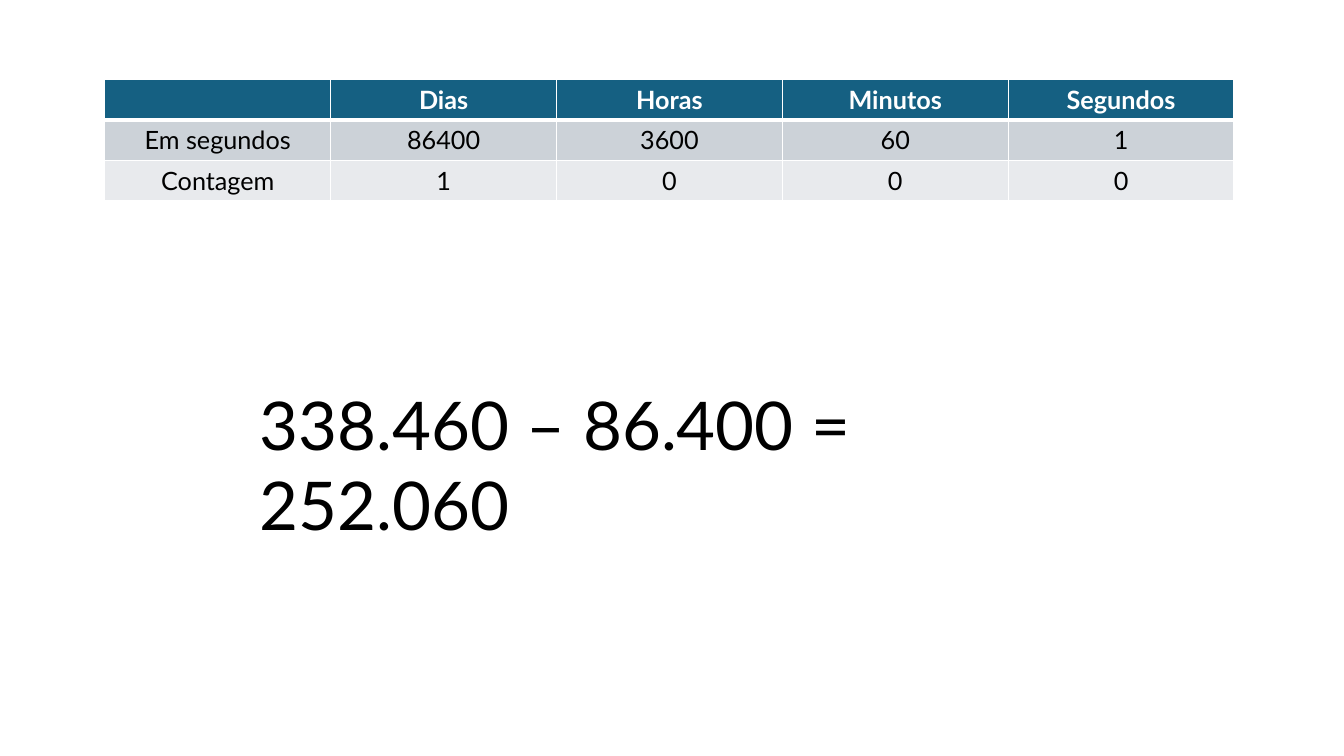
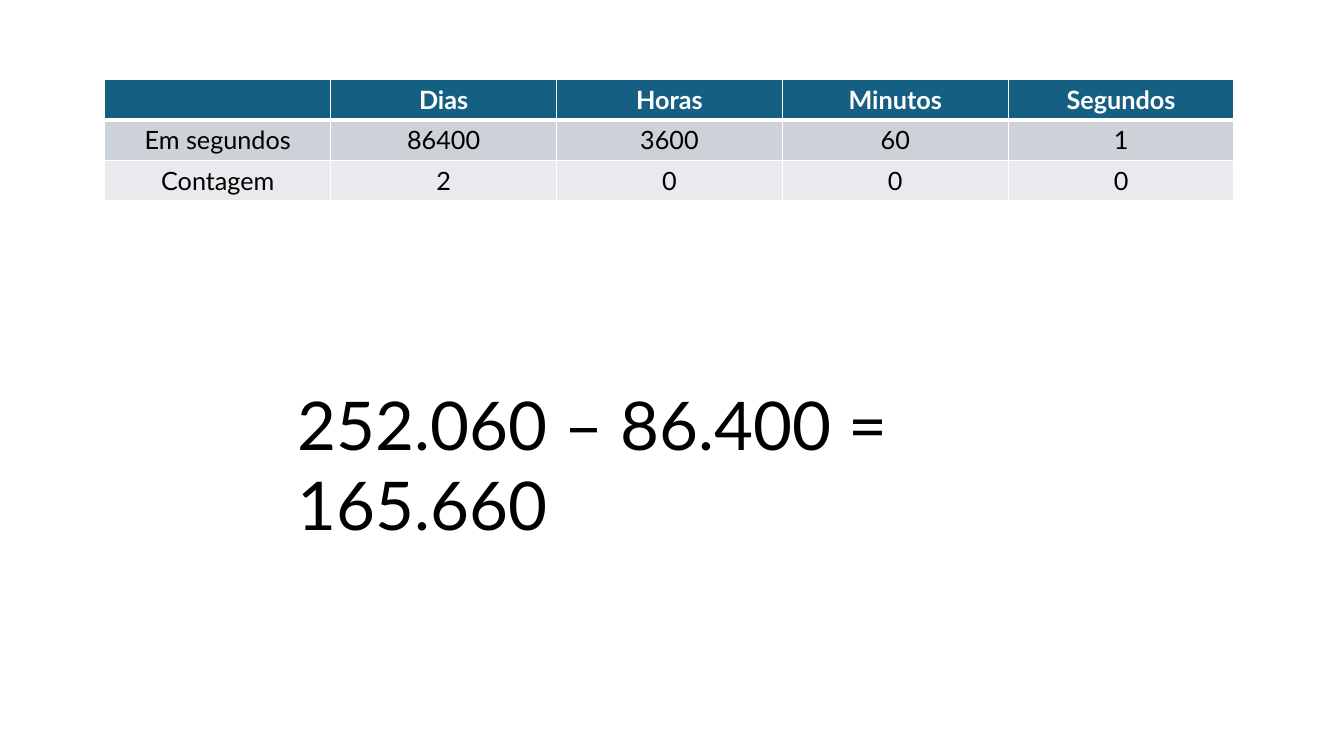
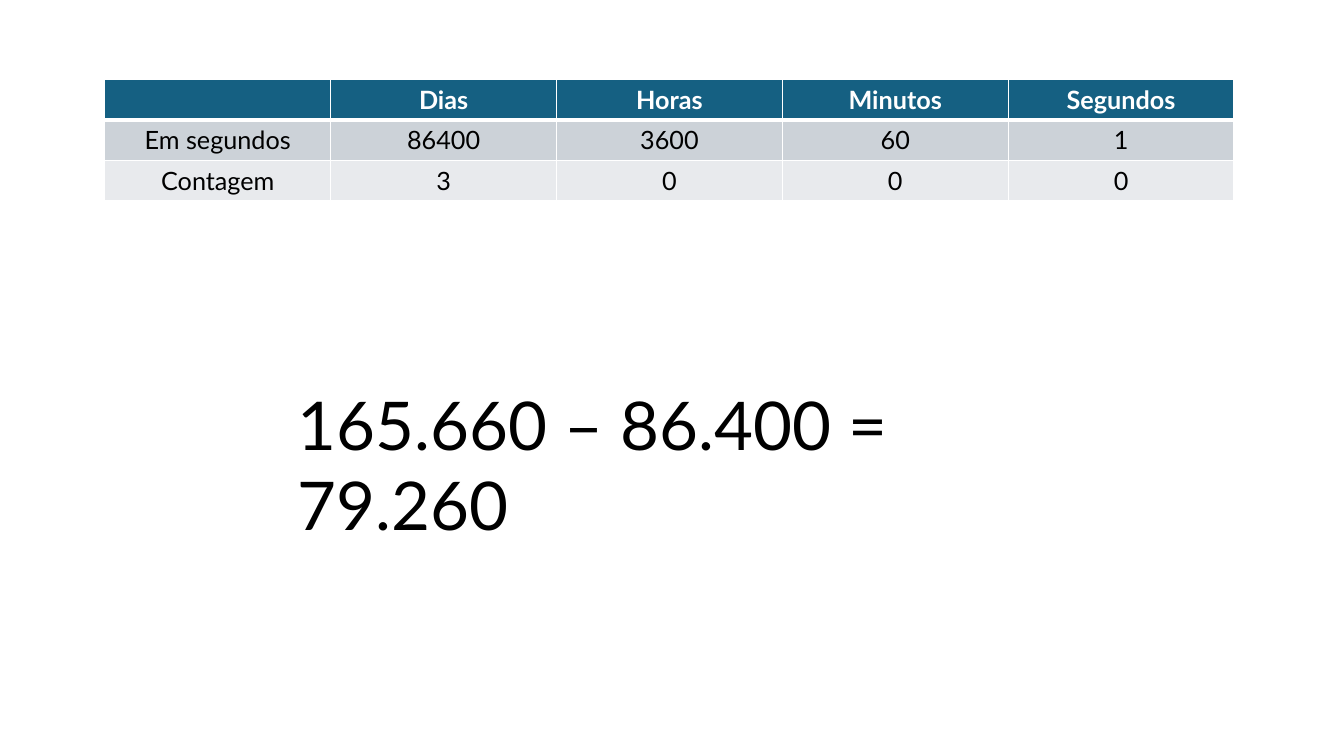
import dataclasses

import lxml.etree
import pptx
import pptx.dml.color
import pptx.enum.text
import pptx.oxml.ns
import pptx.presentation
import pptx.shapes.autoshape
import pptx.slide
import pptx.table
import pptx.text.text
import pptx.util

SLIDE_WIDTH, SLIDE_HEIGHT = 13.33, 7.5
TABLE_LEFT, TABLE_TOP = 1.04, 0.79
COLUMN_WIDTH, ROW_HEIGHT = 2.24, 0.4
EQUATION_TOP, EQUATION_HEIGHT = SLIDE_HEIGHT / 2, 0.91
FONT = "Lato"
COLORS = {
    "header": "156082",
    "dark_band": "CCD2D8",
    "light_band": "E8EAED",
    "white": "FFFFFF",
    "text": "000000",
}
ROW_FILLS = ("header", "dark_band", "light_band")
UNITS = {"Dias": 86400, "Horas": 3600, "Minutos": 60, "Segundos": 1}
START_SECONDS = 338460


@dataclasses.dataclass(frozen=True)
class Step:
    """One subtraction of a whole day, with the place of its equation."""
    days: int
    left: float
    width: float

    @property
    def equation(self) -> str:
        day = UNITS["Dias"]
        rest = START_SECONDS - self.days * day
        return f"{dotted(rest + day)} – {dotted(day)} = {dotted(rest)}"


STEPS = (Step(1, 2.48, 8.11), Step(2, 2.85, 8.11), Step(3, 2.85, 7.75))


def dotted(number: int) -> str:
    """Write a number with dots between the thousands."""
    return f"{number:,}".replace(",", ".")


def rgb(name: str) -> pptx.dml.color.RGBColor:
    return pptx.dml.color.RGBColor.from_string(COLORS[name])


def write(paragraph: pptx.text.text._Paragraph, text: str, size: int,
          color: str, bold: bool = False) -> None:
    paragraph.text = text
    for run in paragraph.runs:
        run.font.name = FONT
        run.font.size = pptx.util.Pt(size)
        run.font.bold = bold
        run.font.color.rgb = rgb(color)


def set_borders(cell: pptx.table._Cell, top: int, bottom: int) -> None:
    """Draw white borders; the side borders are one point wide."""
    properties = cell._tc.get_or_add_tcPr()
    for side, points in (("L", 1), ("R", 1), ("T", top), ("B", bottom)):
        line = lxml.etree.SubElement(
            properties, pptx.oxml.ns.qn(f"a:ln{side}"), w=str(pptx.util.Pt(points)))
        fill = lxml.etree.SubElement(line, pptx.oxml.ns.qn("a:solidFill"))
        lxml.etree.SubElement(fill, pptx.oxml.ns.qn("a:srgbClr"), val=COLORS["white"])


def add_count_table(slide: pptx.slide.Slide, step: Step) -> None:
    counts = [step.days] + [0] * (len(UNITS) - 1)
    rows = (("", *UNITS), ("Em segundos", *UNITS.values()), ("Contagem", *counts))
    columns = len(UNITS) + 1
    table = slide.shapes.add_table(
        len(rows), columns,
        pptx.util.Inches(TABLE_LEFT), pptx.util.Inches(TABLE_TOP),
        pptx.util.Inches(columns * COLUMN_WIDTH),
        pptx.util.Inches(len(rows) * ROW_HEIGHT)).table
    for row, values in enumerate(rows):
        is_header = row == 0
        for column, value in enumerate(values):
            cell = table.cell(row, column)
            set_borders(cell, top=3 if row == 1 else 1, bottom=3 if is_header else 1)
            cell.fill.solid()
            cell.fill.fore_color.rgb = rgb(ROW_FILLS[row])
            paragraph = cell.text_frame.paragraphs[0]
            paragraph.alignment = pptx.enum.text.PP_ALIGN.CENTER
            write(paragraph, str(value), 18, "white" if is_header else "text", is_header)


def add_equation(slide: pptx.slide.Slide, step: Step) -> None:
    box = slide.shapes.add_textbox(
        pptx.util.Inches(step.left), pptx.util.Inches(EQUATION_TOP),
        pptx.util.Inches(step.width), pptx.util.Inches(EQUATION_HEIGHT))
    box.text_frame.word_wrap = True
    box.text_frame.auto_size = pptx.enum.text.MSO_AUTO_SIZE.SHAPE_TO_FIT_TEXT
    write(box.text_frame.paragraphs[0], step.equation, 48, "text")


def main() -> None:
    presentation = pptx.Presentation()
    presentation.slide_width = pptx.util.Inches(SLIDE_WIDTH)
    presentation.slide_height = pptx.util.Inches(SLIDE_HEIGHT)
    blank_layout = presentation.slide_layouts[6]
    for step in STEPS:
        slide = presentation.slides.add_slide(blank_layout)
        add_equation(slide, step)
        add_count_table(slide, step)
    presentation.save("out.pptx")


if __name__ == "__main__":
    main()
